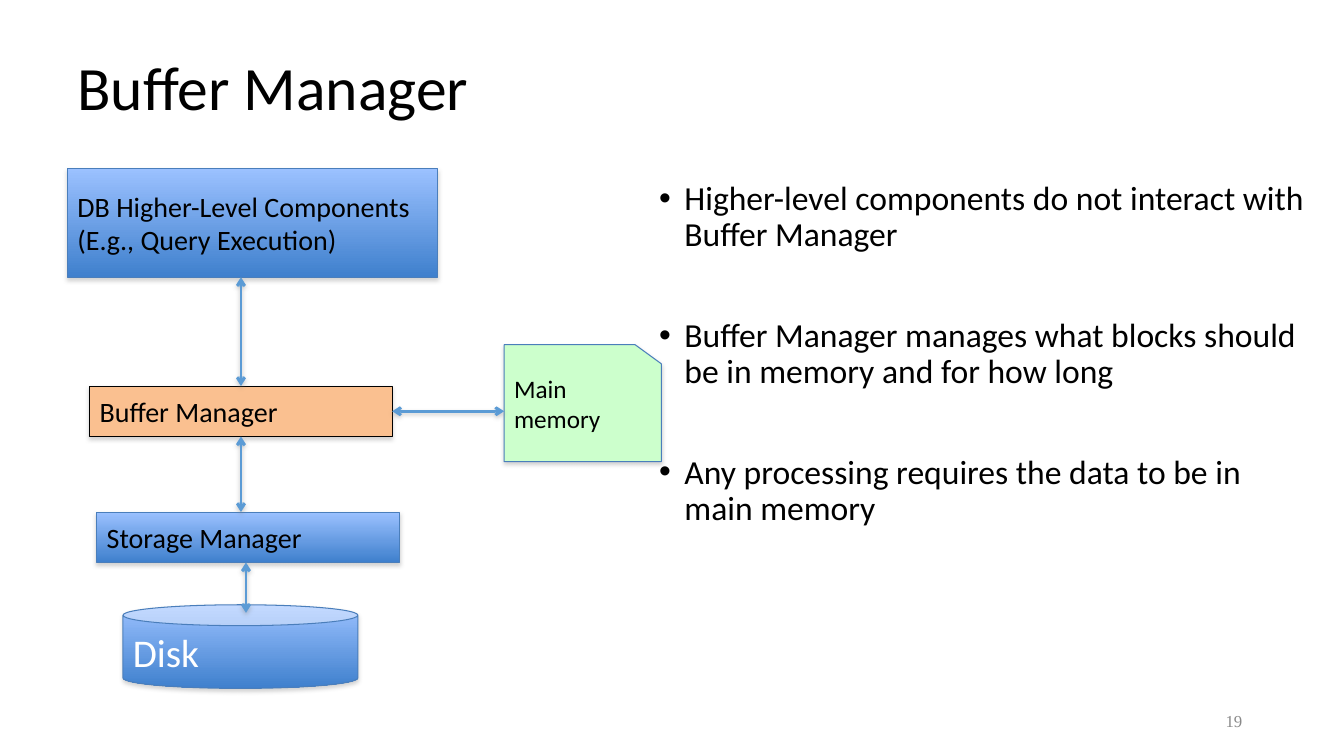
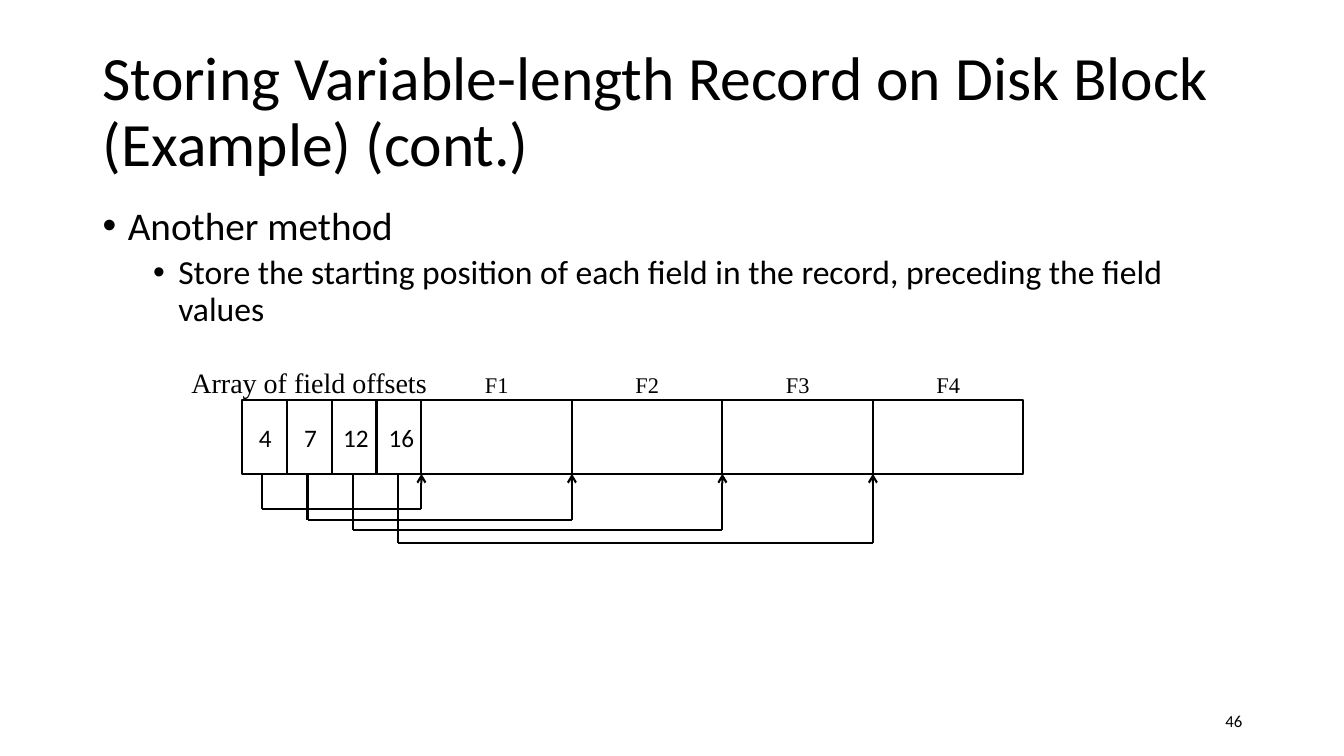
"""Build two database slides: the buffer manager and variable-length records."""
from dataclasses import dataclass
from typing import Optional

from lxml.etree import SubElement
from pptx import Presentation
from pptx.dml.color import RGBColor
from pptx.enum.shapes import MSO_CONNECTOR, MSO_SHAPE
from pptx.enum.text import MSO_ANCHOR, PP_ALIGN
from pptx.oxml.ns import qn
from pptx.shapes.autoshape import Shape
from pptx.slide import Slide
from pptx.text.text import TextFrame
from pptx.util import Inches, Pt

BLACK = RGBColor(0x00, 0x00, 0x00)
WHITE = RGBColor(0xFF, 0xFF, 0xFF)
GRAY = RGBColor(0x89, 0x89, 0x89)
BLUE_TOP = RGBColor(0x9B, 0xC1, 0xFF)
BLUE_BOTTOM = RGBColor(0x3F, 0x80, 0xCD)
BLUE_EDGE = RGBColor(0x4A, 0x7E, 0xBB)
ARROW_BLUE = RGBColor(0x5B, 0x9B, 0xD5)
ORANGE = RGBColor(0xFA, 0xC0, 0x90)
GREEN = RGBColor(0xCC, 0xFF, 0xCC)
SANS = "Calibri"
SERIF = "Times New Roman"


@dataclass(frozen=True)
class Area:
    left: float
    top: float
    width: float
    height: float

    def lengths(self) -> tuple:
        return tuple(Inches(side) for side in (self.left, self.top, self.width, self.height))


@dataclass(frozen=True)
class Type:
    size: float
    font: str = SANS
    color: RGBColor = BLACK
    align: PP_ALIGN = PP_ALIGN.LEFT
    anchor: MSO_ANCHOR = MSO_ANCHOR.TOP
    line_spacing: Optional[float] = None


@dataclass(frozen=True)
class Shadow:
    alpha: int
    distance: float


@dataclass(frozen=True)
class Bullet:
    text: str
    size: float
    space_before: float
    margin: float = 0.25


@dataclass(frozen=True)
class Component:
    text: str
    area: Area
    size: float = 20
    kind: MSO_SHAPE = MSO_SHAPE.RECTANGLE
    fill: Optional[RGBColor] = None
    edge: RGBColor = BLUE_EDGE
    color: RGBColor = BLACK


@dataclass(frozen=True)
class Segment:
    start: tuple[float, float]
    end: tuple[float, float]
    color: RGBColor = BLACK
    width: float = 1.5
    head: bool = False
    tail: bool = False
    shadow: Optional[Shadow] = None


TITLE = Type(44, anchor=MSO_ANCHOR.MIDDLE, line_spacing=0.9)
BOX_SHADOW = Shadow(35, 1.8)
ARROW_SHADOW = Shadow(38, 1.6)

COMPONENTS = [
    Component("Disk", Area(1.22, 6, 2.33, 0.83), 28, MSO_SHAPE.CAN, color=WHITE),
    Component("Storage Manager", Area(0.96, 5.08, 3, 0.5)),
    Component("DB Higher-Level Components (E.g., Query Execution)", Area(0.67, 1.67, 3.67, 1.08)),
    Component("Buffer Manager", Area(0.89, 3.83, 3, 0.5), fill=ORANGE, edge=BLACK),
]
MEMORY_OUTLINE = [(5, 3.42), (6.3, 3.42), (6.56, 3.61), (6.56, 4.58), (5, 4.58)]
COMPONENT_LINKS = [
    ((2.44, 5.58), (2.44, 6.08)),
    ((2.39, 2.75), (2.39, 3.83)),
    ((2.39, 4.33), (2.39, 5.08)),
    ((3.89, 4.08), (5, 4.08)),
]
BUFFER_BULLETS = [
    Bullet("Higher-level components do not interact with Buffer Manager", 24, 10),
    Bullet("Buffer Manager manages what blocks should be in memory and for how long", 24, 46),
    Bullet("Any processing requires the data to be in main memory", 24, 46),
]
RECORD_BULLETS = [
    Bullet("Another method", 28, 10),
    Bullet("Store the starting position of each field in the record, preceding the field values",
           24, 5, 0.75),
]

OFFSETS = ["4", "7", "12", "16"]
POINTER_DEPTHS = [5.05, 5.16, 5.26, 5.39]
ARRAY_LEFT, FIELDS_LEFT, RECORD_RIGHT = 2.4, 4.18, 10.15
RECORD_TOP, RECORD_HEIGHT = 3.97, 0.73
POINTER_TOP = 4.7
OFFSET_WIDTH = (FIELDS_LEFT - ARRAY_LEFT) / len(OFFSETS)
FIELD_WIDTH = (RECORD_RIGHT - FIELDS_LEFT) / len(OFFSETS)
LABEL_WIDTH = 0.65


def add_run(para, text: str, style: Type) -> None:
    """Append one styled run to a paragraph."""
    span = para.add_run()
    span.text = text
    span.font.size = Pt(style.size)
    span.font.name = style.font
    span.font.color.rgb = style.color


def write(frame: TextFrame, text: str, style: Type) -> None:
    """Put a single styled paragraph into a text frame."""
    frame.word_wrap = True
    frame.vertical_anchor = style.anchor
    para = frame.paragraphs[0]
    para.alignment = style.align
    if style.line_spacing:
        para.line_spacing = style.line_spacing
    add_run(para, text, style)


def add_text(page: Slide, text: str, area: Area, style: Type) -> None:
    """Add a text box with one paragraph."""
    write(page.shapes.add_textbox(*area.lengths()).text_frame, text, style)


def add_bullets(page: Slide, area: Area, bullets: list[Bullet]) -> None:
    """Add a bulleted list."""
    frame = page.shapes.add_textbox(*area.lengths()).text_frame
    frame.word_wrap = True
    for index, bullet in enumerate(bullets):
        para = frame.add_paragraph() if index else frame.paragraphs[0]
        para.line_spacing = 0.9
        para.space_before = Pt(bullet.space_before)
        properties = para._p.get_or_add_pPr()
        properties.set("marL", str(Inches(bullet.margin)))
        properties.set("indent", str(Inches(-0.25)))
        SubElement(properties, qn("a:buFont"), typeface="Arial")
        SubElement(properties, qn("a:buChar"), char="•")
        add_run(para, bullet.text, Type(bullet.size))


def set_shadow(drawn, shadow: Optional[Shadow]) -> None:
    """Replace the theme shadow by the given one, or by none."""
    effects = SubElement(drawn.element.spPr, qn("a:effectLst"))
    if shadow:
        outer = SubElement(effects, qn("a:outerShdw"), blurRad=str(Pt(3.1)),
                           dist=str(Pt(shadow.distance)), dir="5400000", rotWithShape="0")
        color = SubElement(outer, qn("a:srgbClr"), val="808080")
        SubElement(color, qn("a:alpha"), val=str(shadow.alpha * 1000))


def finish_component(box: Shape, component: Component) -> None:
    """Give a component its fill, edge, shadow and label."""
    if component.fill is not None:
        box.fill.solid()
        box.fill.fore_color.rgb = component.fill
    else:
        box.fill.gradient()
        box.fill.gradient_angle = 270
        for stop, color, position in zip(box.fill.gradient_stops, (BLUE_TOP, BLUE_BOTTOM), (0, 1)):
            stop.color.rgb = color
            stop.position = position
    box.line.color.rgb = component.edge
    box.line.width = Pt(0.75)
    set_shadow(box, BOX_SHADOW)
    write(box.text_frame, component.text,
          Type(component.size, color=component.color, anchor=MSO_ANCHOR.MIDDLE))


def add_segment(page: Slide, segment: Segment) -> None:
    """Draw a straight line with optional arrowheads."""
    ends = [Inches(value) for value in (*segment.start, *segment.end)]
    line = page.shapes.add_connector(MSO_CONNECTOR.STRAIGHT, *ends)
    line.line.color.rgb = segment.color
    line.line.width = Pt(segment.width)
    outline = line.element.spPr.find(qn("a:ln"))
    for name, wanted in (("a:headEnd", segment.head), ("a:tailEnd", segment.tail)):
        if wanted:
            SubElement(outline, qn(name), type="arrow")
    set_shadow(line, segment.shadow)


def add_cell(page: Slide, left: float, width: float) -> None:
    """Draw one unfilled cell of the record."""
    area = Area(left, RECORD_TOP, width, RECORD_HEIGHT)
    cell = page.shapes.add_shape(MSO_SHAPE.RECTANGLE, *area.lengths())
    cell.fill.background()
    cell.line.color.rgb = BLACK
    cell.line.width = Pt(1.5)
    cell.shadow.inherit = False


def add_label(page: Slide, text: str, center: float, top: float, size: float, font: str) -> None:
    """Add a label centred on a horizontal position."""
    area = Area(center - LABEL_WIDTH / 2, top, LABEL_WIDTH, 0.4)
    add_text(page, text, area, Type(size, font, align=PP_ALIGN.CENTER))


def add_page(deck, title: str, area: Area, number: str, font: str, color: RGBColor) -> Slide:
    """Add a blank page with a title and a page number."""
    page = deck.slides.add_slide(deck.slide_layouts[6])
    add_text(page, title, area, TITLE)
    add_text(page, number, Area(9.42, 6.95, 3, 0.4),
             Type(12, font, color, PP_ALIGN.RIGHT, MSO_ANCHOR.MIDDLE))
    return page


def build_buffer_page(deck) -> None:
    """Build the buffer manager page."""
    page = add_page(deck, "Buffer Manager", Area(0.67, 0.3, 12, 1.2), "19", SERIF, GRAY)
    add_bullets(page, Area(6.44, 1.75, 6.67, 4.95), BUFFER_BULLETS)
    for component in COMPONENTS:
        box = page.shapes.add_shape(component.kind, *component.area.lengths())
        finish_component(box, component)
    corners = [(Inches(x), Inches(y)) for x, y in MEMORY_OUTLINE]
    builder = page.shapes.build_freeform(*corners[0])
    builder.add_line_segments(corners[1:], close=True)
    memory = Component("Main memory", Area(5, 3.42, 1.56, 1.16), 18, fill=GREEN)
    finish_component(builder.convert_to_shape(), memory)
    for start, end in COMPONENT_LINKS:
        add_segment(page, Segment(start, end, ARROW_BLUE, 2, True, True, ARROW_SHADOW))


def build_record_page(deck) -> None:
    """Build the variable-length record page."""
    page = add_page(deck, "Storing Variable-length Record on Disk Block (Example) (cont.)",
                    Area(0.92, 0.4, 11.5, 1.45), "46", SANS, BLACK)
    add_bullets(page, Area(0.92, 2, 11.5, 4.76), RECORD_BULLETS)
    add_text(page, "Array of field offsets", Area(1.8, 3.58, 2.6, 0.44), Type(20, SERIF))
    for index, (offset, depth) in enumerate(zip(OFFSETS, POINTER_DEPTHS)):
        offset_left = ARRAY_LEFT + index * OFFSET_WIDTH
        field_left = FIELDS_LEFT + index * FIELD_WIDTH
        add_cell(page, offset_left, OFFSET_WIDTH)
        add_cell(page, field_left, FIELD_WIDTH)
        add_label(page, offset, 2.63 + index * 0.45, 4.14, 18, SANS)
        add_label(page, f"F{index + 1}", field_left + FIELD_WIDTH / 2, 3.63, 16, SERIF)
        source = 2.6 + index * 0.45
        corners = [(source, POINTER_TOP), (source, depth),
                   (field_left, depth), (field_left, POINTER_TOP)]
        for start, end in zip(corners, corners[1:]):
            add_segment(page, Segment(start, end, tail=end == corners[-1]))


def main() -> None:
    """Build and save the deck."""
    deck = Presentation()
    deck.slide_width = Inches(13.33)
    deck.slide_height = Inches(7.5)
    build_buffer_page(deck)
    build_record_page(deck)
    deck.save("out.pptx")


main()
